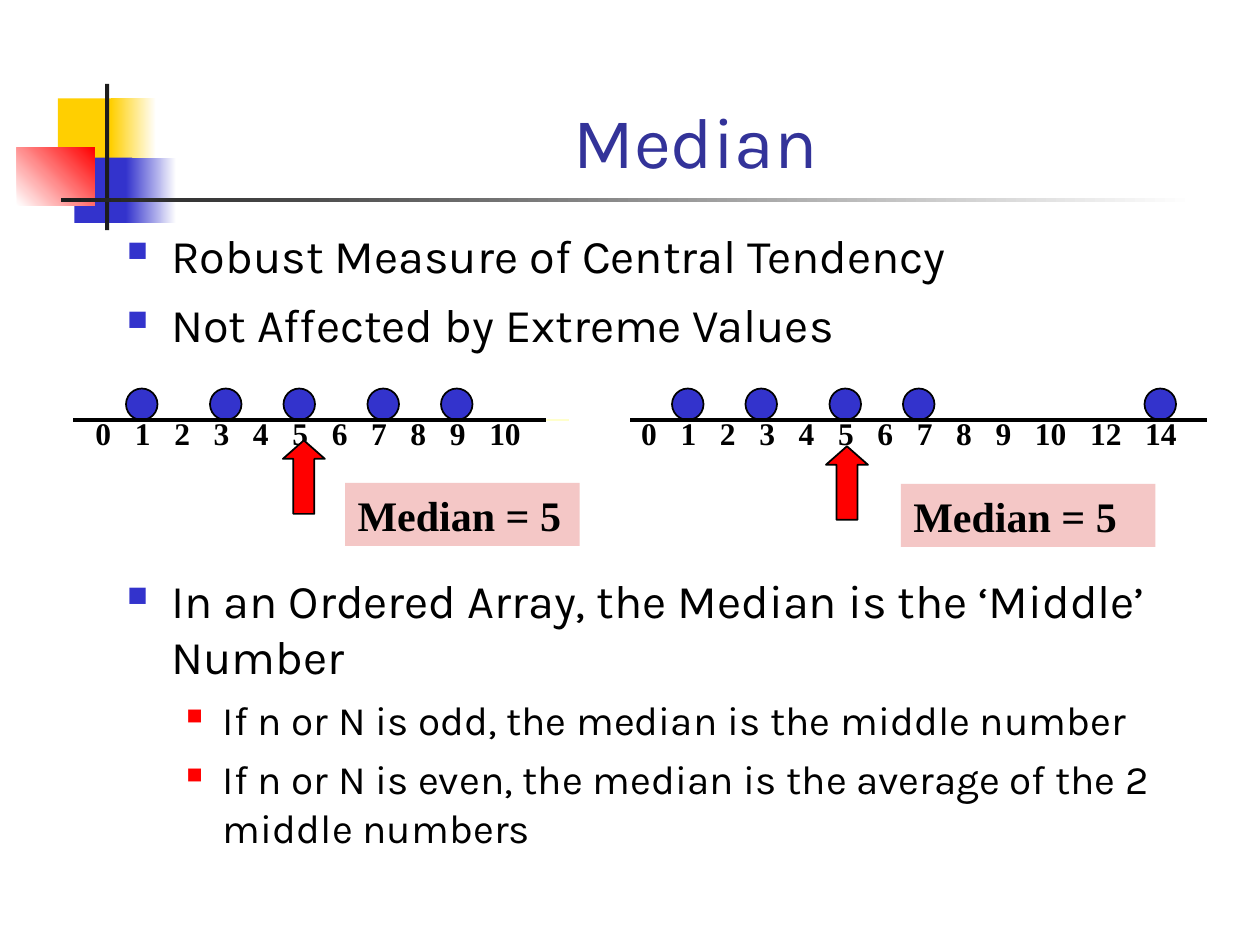
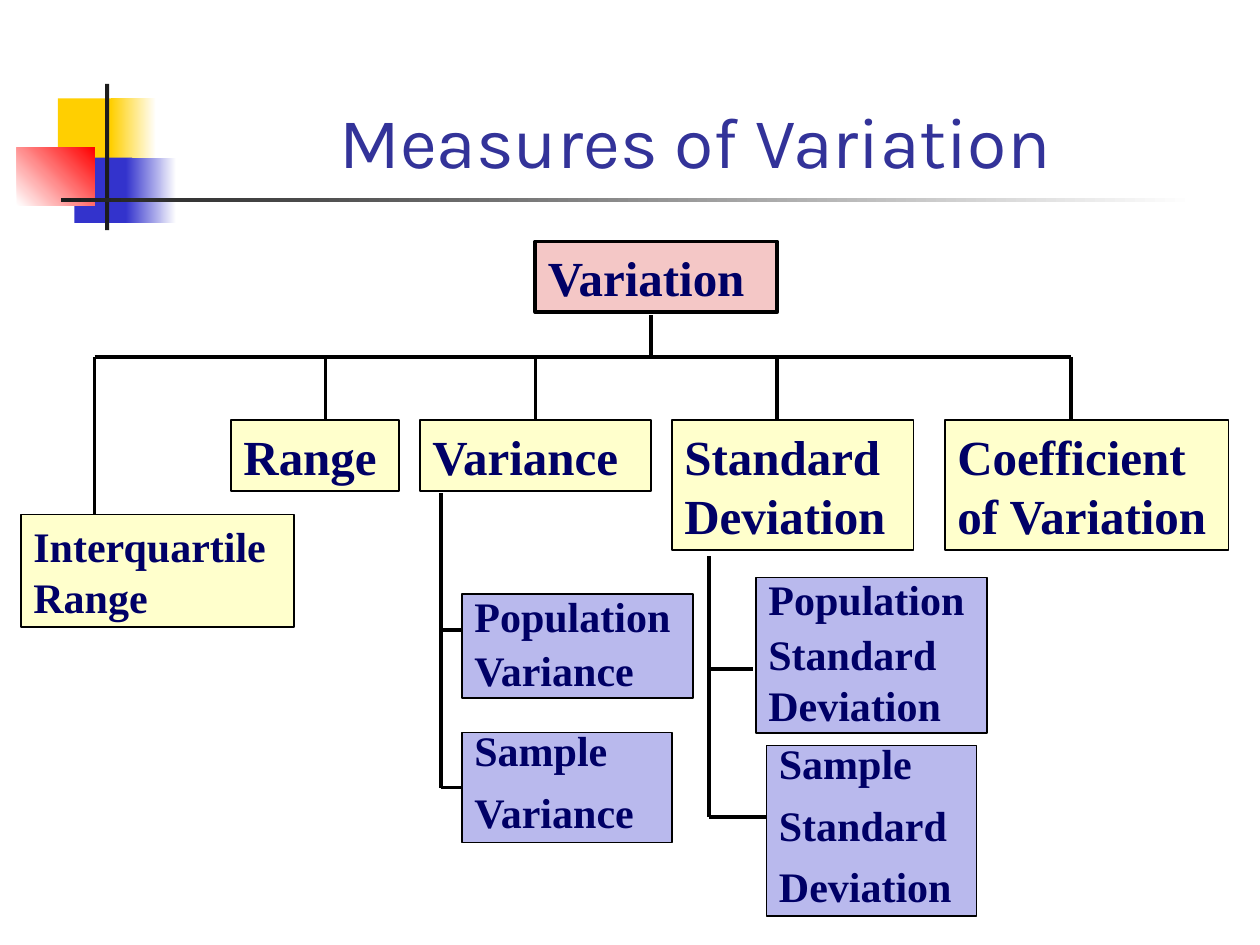
from lxml.etree import SubElement
from pptx import Presentation
from pptx.dml.color import RGBColor
from pptx.enum.shapes import MSO_CONNECTOR, MSO_SHAPE
from pptx.enum.text import MSO_ANCHOR, PP_ALIGN
from pptx.oxml.ns import qn
from pptx.util import Inches, Pt

BLACK = RGBColor(0x00, 0x00, 0x00)
WHITE = RGBColor(0xFF, 0xFF, 0xFF)
CHARCOAL = RGBColor(0x1C, 0x1C, 0x1C)
GOLD = RGBColor(0xFF, 0xCF, 0x01)
BLUE = RGBColor(0x33, 0x33, 0xCC)
RED = RGBColor(0xFF, 0x00, 0x00)
TITLE_BLUE = RGBColor(0x33, 0x33, 0x99)
NAVY = RGBColor(0x00, 0x00, 0x66)
PINK = RGBColor(0xF4, 0xC7, 0xC6)
CREAM = RGBColor(0xFF, 0xFF, 0xCC)
LILAC = RGBColor(0xB9, 0xB9, 0xED)

# Every position is counted in cells of a 120 x 90 grid.
CELL = Inches(10) // 120
RECT = MSO_SHAPE.RECTANGLE
SERIF = "Times New Roman"
SANS = "Karla"


def place(slide, kind, box, fill=None, outline=0, paragraphs=(), color=BLACK, inset=0.1, **font):
    """Add a shape, or a text box when kind is None; paragraphs are (text, formats) pairs."""
    box = [round(cells * CELL) for cells in box]
    if kind is None:
        shape = slide.shapes.add_textbox(*box)
    else:
        shape = slide.shapes.add_shape(kind, *box)
        shape.shadow.inherit = False
        if isinstance(fill, RGBColor):
            shape.fill.solid()
            shape.fill.fore_color.rgb = fill
        else:
            start, end, angle = fill
            shape.fill.gradient()
            shape.fill.gradient_angle = angle
            for stop, stop_color in zip(shape.fill.gradient_stops, (start, end)):
                stop.color.rgb = stop_color
        if outline:
            shape.line.color.rgb = BLACK
            shape.line.width = Pt(outline)
        else:
            shape.line.fill.background()
    frame = shape.text_frame
    layout = {"word_wrap": True, "vertical_anchor": MSO_ANCHOR.TOP,
              "margin_left": Inches(inset), "margin_right": Inches(inset),
              "margin_top": Inches(0.05), "margin_bottom": Inches(0.05)}
    for key, value in layout.items():
        setattr(frame, key, value)
    for number, (text, formats) in enumerate(paragraphs):
        paragraph = frame.add_paragraph() if number else frame.paragraphs[0]
        for key, value in {"alignment": PP_ALIGN.LEFT, **formats}.items():
            setattr(paragraph, key, value)
        run = paragraph.add_run()
        run.text = text
        run.font.color.rgb = color
        for key, value in font.items():
            setattr(run.font, key, value)
    return shape


def draw_line(slide, x1, y1, x2, y2, color=BLACK, weight=2.25):
    ends = [round(cells * CELL) for cells in (x1, y1, x2, y2)]
    connector = slide.shapes.add_connector(MSO_CONNECTOR.STRAIGHT, *ends)
    connector.line.color.rgb = color
    connector.line.width = Pt(weight)
    SubElement(connector._element.spPr, qn("a:effectLst"))
    return connector


deck = Presentation()
deck.slide_width, deck.slide_height = 120 * CELL, 90 * CELL

# Shared decoration and titles
ornaments = [
    ((5.52, 9.36, 5.76, 6.24), GOLD),
    ((10.56, 9.36, 4.32, 6.24), (GOLD, WHITE, 0)),
    ((7.08, 15, 5.52, 6.24), BLUE),
    ((12, 15, 4.8, 6.24), (BLUE, WHITE, 0)),
    ((1.62, 14.04, 7.4, 5.52), (WHITE, RED, 45)),
    ((10, 8, 0.4, 13.92), CHARCOAL),
    ((5.8, 18.85, 108, 0.4), (CHARCOAL, WHITE, 0)),
]
slides = []
for title in ("Median", "Measures of Variation"):
    slide = deck.slides.add_slide(deck.slide_layouts[6])
    for box, fill in ornaments:
        place(slide, RECT, box, fill)
    heading = place(slide, None, (15.12, 3, 102.24, 15), inset=0.09,
                    paragraphs=[(title, {"alignment": PP_ALIGN.CENTER})],
                    color=TITLE_BLUE, name=SANS, size=Pt(41))
    heading.text_frame.vertical_anchor = MSO_ANCHOR.BOTTOM
    slides.append(slide)
median, variation = slides

# Median: bullets, with room left for the number lines before the third
points = [
    ("Robust Measure of Central Tendency", 0, 0),
    ("Not Affected by Extreme Values", 0, 7.3),
    ("In an Ordered Array, the Median is the ‘Middle’ Number", 0, 125.5),
    ("If n or N is odd, the median is the middle number", 1, 6.2),
    ("If n or N is even, the median is the average of the 2 middle numbers", 1, 6.2),
]
levels = [
    {"size": 26.8, "indent": 0.35, "hanging": 0.35, "bullet": BLUE, "share": 60},
    {"size": 23.1, "indent": 0.76, "hanging": 0.29, "bullet": RED, "share": 55},
]
body = place(median, None, (11.04, 21, 105.96, 59.52), inset=0.09, name=SANS,
             paragraphs=[(text, {"level": level, "space_before": Pt(gap)})
                         for text, level, gap in points])
for paragraph in body.text_frame.paragraphs:
    style = levels[paragraph.level]
    paragraph.runs[0].font.size = Pt(style["size"])
    properties = paragraph._p.get_or_add_pPr()
    properties.set("marL", str(Inches(style["indent"])))
    properties.set("indent", str(-Inches(style["hanging"])))
    bullet_color = SubElement(properties, qn("a:buClr"))
    SubElement(bullet_color, qn("a:srgbClr"), val=str(style["bullet"]))
    SubElement(properties, qn("a:buSzPct"), val=str(style["share"] * 1000))
    SubElement(properties, qn("a:buChar"), char="■")

# Median: two number lines whose labels stand on tab stops
AXIS_ROW = 40
DOT = 3
DIGIT_STEP, PAIR_STEP = 22.5, 31.5  # points taken by one-digit and two-digit labels
number_lines = [
    {"axis": (7, 52), "guide": (10.2, 54.2), "labels": (7.92, 52.32),
     "values": [*range(11)], "dots": (12, 20, 27, 35, 42),
     "arrow": (25.44, 43.44), "result": (32.88, 46, 22.32, 6)},
    {"axis": (60, 115), "guide": (62.3, 112.2), "labels": (59.88, 56.28),
     "values": [*range(11), 12, 14], "dots": (64, 71, 79, 86, 109),
     "arrow": (77.16, 44), "result": (85.8, 46.08, 24.24, 6)},
]
for number_line in number_lines:
    left, right = number_line["guide"]
    draw_line(median, left, AXIS_ROW, right, AXIS_ROW, CREAM, 1)

    left, width = number_line["labels"]
    values = number_line["values"]
    scale = place(median, None, (left, 38.88, width, 4.8),
                  paragraphs=[("\t".join(map(str, values)), {})],
                  name=SERIF, size=Pt(18), bold=True)
    tabs = SubElement(scale.text_frame.paragraphs[0]._p.get_or_add_pPr(), qn("a:tabLst"))
    stop = 0
    for value in values[:-1]:
        stop += PAIR_STEP if value >= 10 else DIGIT_STEP
        SubElement(tabs, qn("a:tab"), pos=str(Pt(stop)), algn="l")

    for column in number_line["dots"]:
        place(median, MSO_SHAPE.OVAL, (column, AXIS_ROW - DOT, DOT, DOT), BLUE, 1)
    pointer = place(median, MSO_SHAPE.RIGHT_ARROW, (*number_line["arrow"], 7, 4), RED, 1)
    pointer.rotation = 270
    pointer.adjustments[0], pointer.adjustments[1] = 0.5, 0.44
    place(median, RECT, number_line["result"], PINK, paragraphs=[("Median = 5", {})],
          name=SERIF, size=Pt(24), bold=True)
    left, right = number_line["axis"]
    draw_line(median, left, AXIS_ROW, right, AXIS_ROW)

# Variation: the tree's boxes, as (lines of text, box, fill, outline, size, line spacings)
measures = [
    (["Variation"], (51, 23, 23, 6.75), PINK, 2.25, 28, [1]),
    (["Interquartile Range"], (2, 49, 26, 10.75), CREAM, 1, 24, [1]),
    (["Range"], (22, 40, 16, 6.75), CREAM, 1, 28, [1]),
    (["Variance"], (40, 40, 22, 6.75), CREAM, 1, 28, [1]),
    (["Standard Deviation"], (64, 40, 23, 12.4), CREAM, 1, 28, [1]),
    (["Coefficient of Variation"], (90, 40, 27, 12.4), CREAM, 1, 28, [1]),
    (["Population", "Variance"], (44, 56.55, 22, 9.95), LILAC, 1, 24, [0.8, 0.5]),
    (["Sample", "Variance"], (44, 69.75, 20, 10.5), LILAC, 1, 24, [0.7, 0.7]),
    (["Population", "Standard", "Deviation"], (72, 55, 22, 14.8), LILAC, 1, 24,
     [0.8, 0.5, 0.5]),
    (["Sample", "Standard", "Deviation"], (73, 71, 20, 16.25), LILAC, 1, 24, [0.7] * 3),
]
boxes = {}
for lines, box, fill, outline, size, spacings in measures:
    paragraphs = [(line, {"line_spacing": spacing, "space_before": Pt(15 if row else 0)})
                  for row, (line, spacing) in enumerate(zip(lines, spacings))]
    boxes[" ".join(lines)] = place(variation, RECT, box, fill, outline, paragraphs, NAVY,
                                   name=SERIF, size=Pt(size), bold=True)

# Variation: trunk, main bar and drops
BAR_ROW = 34
draw_line(variation, 62, 30, 62, BAR_ROW)
draw_line(variation, 9, BAR_ROW, 102, BAR_ROW)
for column, bottom in ((9, 49), (31, 40), (74, 40), (102, 40)):
    draw_line(variation, column, BAR_ROW, column, bottom)
draw_line(variation, 51, BAR_ROW, 51, 40).end_connect(boxes["Variance"], 0)

# Variation: population and sample branches
for column, top, bottom in ((42, 47, 75), (67.5, 53, 77.8)):
    draw_line(variation, column, top, column, bottom)
for left, row, right in ((42, 60, 44), (67.5, 63.75, 71.75), (67.5, 77.8, 73)):
    draw_line(variation, left, row, right, row)
draw_line(variation, 42, 75, 44, 75).end_connect(boxes["Sample Variance"], 1)

deck.save("out.pptx")
